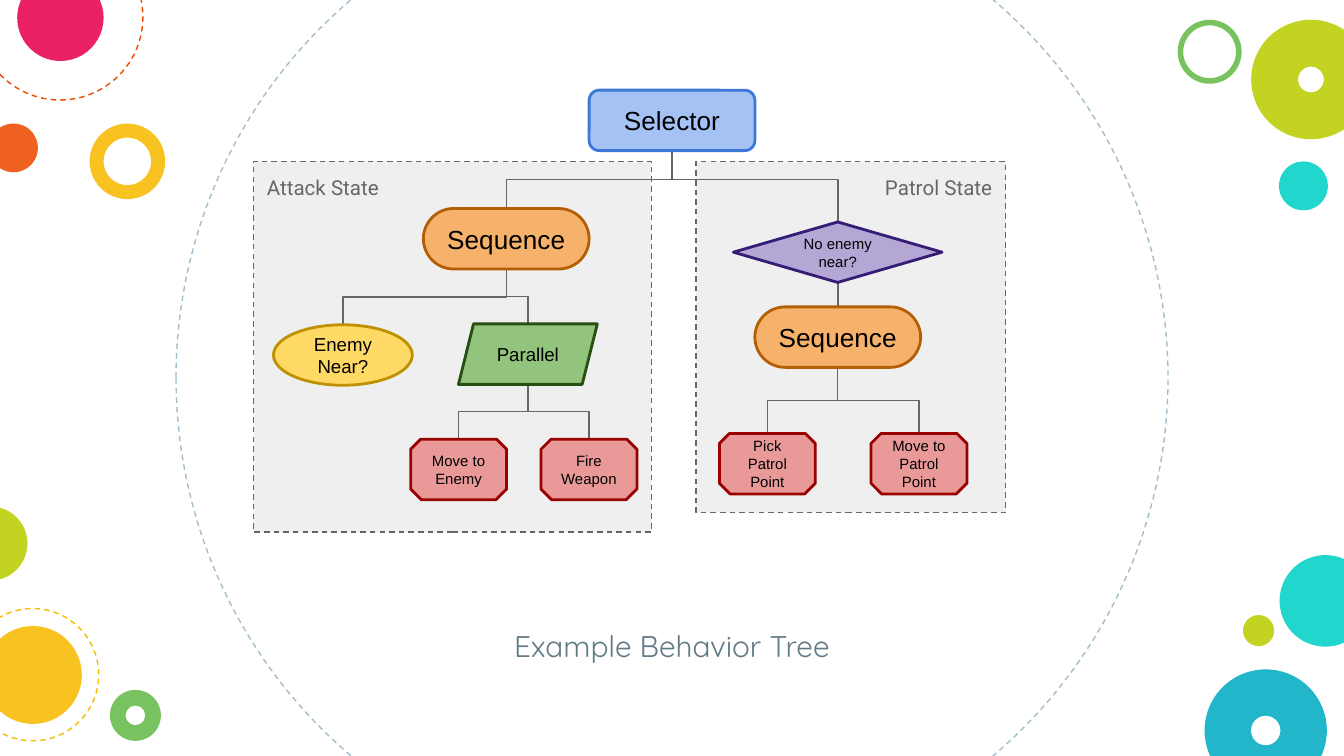
from pptx import Presentation
from pptx.dml.color import RGBColor
from pptx.enum.dml import MSO_LINE
from pptx.enum.shapes import MSO_CONNECTOR, MSO_SHAPE
from pptx.enum.text import MSO_ANCHOR, PP_ALIGN
from pptx.oxml.ns import qn
from pptx.util import Pt
from lxml.etree import SubElement

COLORS = {
    "ring": "A1BECC", "turquoise": "00D1C6", "amber": "F8BB00", "teal": "00ACC3",
    "lime": "BBCD00", "orange": "ED4A00", "green": "65BB48", "pink": "E8004C",
    "panel": "EFEFEF", "gray": "666666", "caption": "617A86", "text": "000000",
    "blue fill": "A4C2F4", "blue line": "3C78D8",
    "orange fill": "F6B26B", "orange line": "B45F06",
    "yellow fill": "FFD966", "yellow line": "BF9000",
    "red fill": "EA9999", "red line": "990000",
    "green fill": "93C47D", "green line": "274E13",
    "purple fill": "B4A7D6", "purple line": "351C75",
}
NODE_HEIGHT = 32.4

deck = Presentation()
deck.slide_width, deck.slide_height = Pt(720), Pt(405)
page = deck.slides.add_slide(deck.slide_layouts[6])


def add_shape(kind, left, top, width, height, fill=None, line=None, weight=0.75, dashed=False):
    shape = page.shapes.add_shape(kind, Pt(left), Pt(top), Pt(width), Pt(height))
    shape.shadow.inherit = False
    if fill:
        shape.fill.solid()
        shape.fill.fore_color.rgb = RGBColor.from_string(COLORS[fill])
    else:
        shape.fill.background()
    if line:
        shape.line.color.rgb = RGBColor.from_string(COLORS[line])
        shape.line.width = Pt(weight)
        if dashed:
            shape.line.dash_style = MSO_LINE.DASH
    else:
        shape.line.fill.background()
    return shape


def write(box, text, size, font, color, align, anchor):
    frame = box.text_frame
    frame.word_wrap = True
    frame.vertical_anchor = anchor
    frame.margin_left = frame.margin_right = Pt(7.2)
    frame.margin_top = frame.margin_bottom = Pt(7.2)
    para = frame.paragraphs[0]
    para.text = text
    para.alignment = align
    para.font.size = Pt(size)
    para.font.name = font
    para.font.color.rgb = RGBColor.from_string(COLORS[color])


# Dashed rings: left, top, diameter, colour
for left, top, size, color in [
    (94.3, -63.3, 531.4, "ring"),
    (-12.3, -35.3, 88.9, "orange"),
    (-18, 326, 70.9, "amber"),
]:
    add_shape(MSO_SHAPE.OVAL, left, top, size, size, line=color, dashed=True)

# Translucent dots and donuts: left, top, diameter, colour, ring thickness
for left, top, size, color, ring in [
    (685.5, 297.4, 49, "turquoise", None),
    (48, 66.2, 40.5, "amber", 0.186),
    (645.3, 358.6, 65.5, "teal", 0.379),
    (665.9, 329.5, 16.7, "lime", None),
    (630.9, 10.6, 34.3, "green", 0.088),
    (-5.8, 66.2, 26.1, "orange", None),
    (670.3, 10.6, 64, "lime", 0.392),
    (9.2, -13.6, 46.3, "pink", None),
    (58.9, 369.6, 27.3, "green", 0.306),
    (-8.6, 335.4, 52.4, "amber", None),
    (-25, 271.3, 39.7, "lime", None),
    (685.2, 86.5, 26.2, "turquoise", None),
]:
    kind = MSO_SHAPE.DONUT if ring else MSO_SHAPE.OVAL
    dot = add_shape(kind, left, top, size, size, fill=color)
    if ring:
        dot.adjustments[0] = ring
    tint = dot._element.spPr.find(qn("a:solidFill"))[0]
    SubElement(tint, qn("a:alpha")).set("val", "87000")

# State panels
for label, left, width, height, align in [
    ("Patrol State", 372.9, 165.8, 188, PP_ALIGN.RIGHT),
    ("Attack State", 135.9, 213.1, 198.6, PP_ALIGN.LEFT),
]:
    panel = add_shape(MSO_SHAPE.RECTANGLE, left, 86.5, width, height, "panel", "gray", dashed=True)
    write(panel, label, 11, "Roboto", "gray", align, MSO_ANCHOR.TOP)

# Caption
caption = page.shapes.add_textbox(Pt(98.2), Pt(329), Pt(523.6), Pt(41))
write(caption, "Example Behavior Tree", 16, "Quicksand", "caption", PP_ALIGN.CENTER, MSO_ANCHOR.TOP)

# Node styles: shape, adjustments, width, colour, text size
styles = {
    "selector": (MSO_SHAPE.ROUNDED_RECTANGLE, [0.167], 88.8, "blue", 14),
    "sequence": (MSO_SHAPE.ROUND_2_SAME_RECTANGLE, [0.5, 0.5], 88.8, "orange", 14),
    "check": (MSO_SHAPE.OVAL, [], 74.4, "yellow", 10),
    "parallel": (MSO_SHAPE.PARALLELOGRAM, [0.25], 74.4, "green", 10),
    "action": (MSO_SHAPE.SNIP_2_SAME_RECTANGLE, [0.167, 0.176], 51.4, "red", 8),
    "condition": (MSO_SHAPE.DIAMOND, [], 111.8, "purple", 8),
}

# Nodes: style, text, centre x, top
nodes = {
    "root": ("selector", "Selector", 360, 48.3),
    "attack": ("sequence", "Sequence", 271.2, 111.7),
    "enemy near": ("check", "Enemy Near?", 183.7, 174),
    "parallel": ("parallel", "Parallel", 282.8, 173.5),
    "move": ("action", "Move to Enemy", 245.7, 235.3),
    "fire": ("action", "Fire Weapon", 315.5, 235.3),
    "patrol": ("sequence", "Sequence", 448.8, 164.4),
    "pick": ("action", "Pick Patrol Point", 411.1, 232.2),
    "move patrol": ("action", "Move to Patrol Point", 492.3, 232.2),
    "no enemy": ("condition", "No enemy near?", 448.8, 118.9),
}

# Branches: parent, child, position of the bend; they lie behind the nodes
for parent, child, bend in [
    ("root", "attack", 0.5),
    ("attack", "enemy near", 0.5),
    ("attack", "parallel", 0.5),
    ("root", "patrol", 0.183),
    ("patrol", "pick", 0.5),
    ("patrol", "move patrol", 0.5),
    ("parallel", "move", 0.5),
    ("parallel", "fire", 0.5),
]:
    start_x, start_y = nodes[parent][2], nodes[parent][3] + NODE_HEIGHT
    end_x, end_y = nodes[child][2:]
    middle_x, middle_y = (start_x + end_x) / 2, (start_y + end_y) / 2
    # An elbow bends sideways, so lay it flat and turn it a quarter
    rightward = end_x > start_x
    reach = (end_y - start_y) / 2 * (-1 if rightward else 1)
    rise = abs(end_x - start_x) / 2
    branch = page.shapes.add_connector(
        MSO_CONNECTOR.ELBOW, Pt(middle_x - reach), Pt(middle_y - rise),
        Pt(middle_x + reach), Pt(middle_y + rise))
    branch.line.color.rgb = RGBColor.from_string(COLORS["gray"])
    branch.line.width = Pt(0.75)
    properties = branch._element.spPr
    properties.find(qn("a:xfrm")).set("rot", str((270 if rightward else 90) * 60000))
    guide = SubElement(properties.find(qn("a:prstGeom")).find(qn("a:avLst")), qn("a:gd"))
    guide.set("name", "adj1")
    guide.set("fmla", f"val {round(bend * 100000)}")
    SubElement(properties, qn("a:effectLst"))

# Draw the nodes
for style, text, center, top in nodes.values():
    kind, adjustments, width, color, size = styles[style]
    node = add_shape(kind, center - width / 2, top, width, NODE_HEIGHT,
                     f"{color} fill", f"{color} line", 1.5)
    for index, value in enumerate(adjustments):
        node.adjustments[index] = value
    write(node, text, size, "Arial", "text", PP_ALIGN.CENTER, MSO_ANCHOR.MIDDLE)

deck.save("out.pptx")
